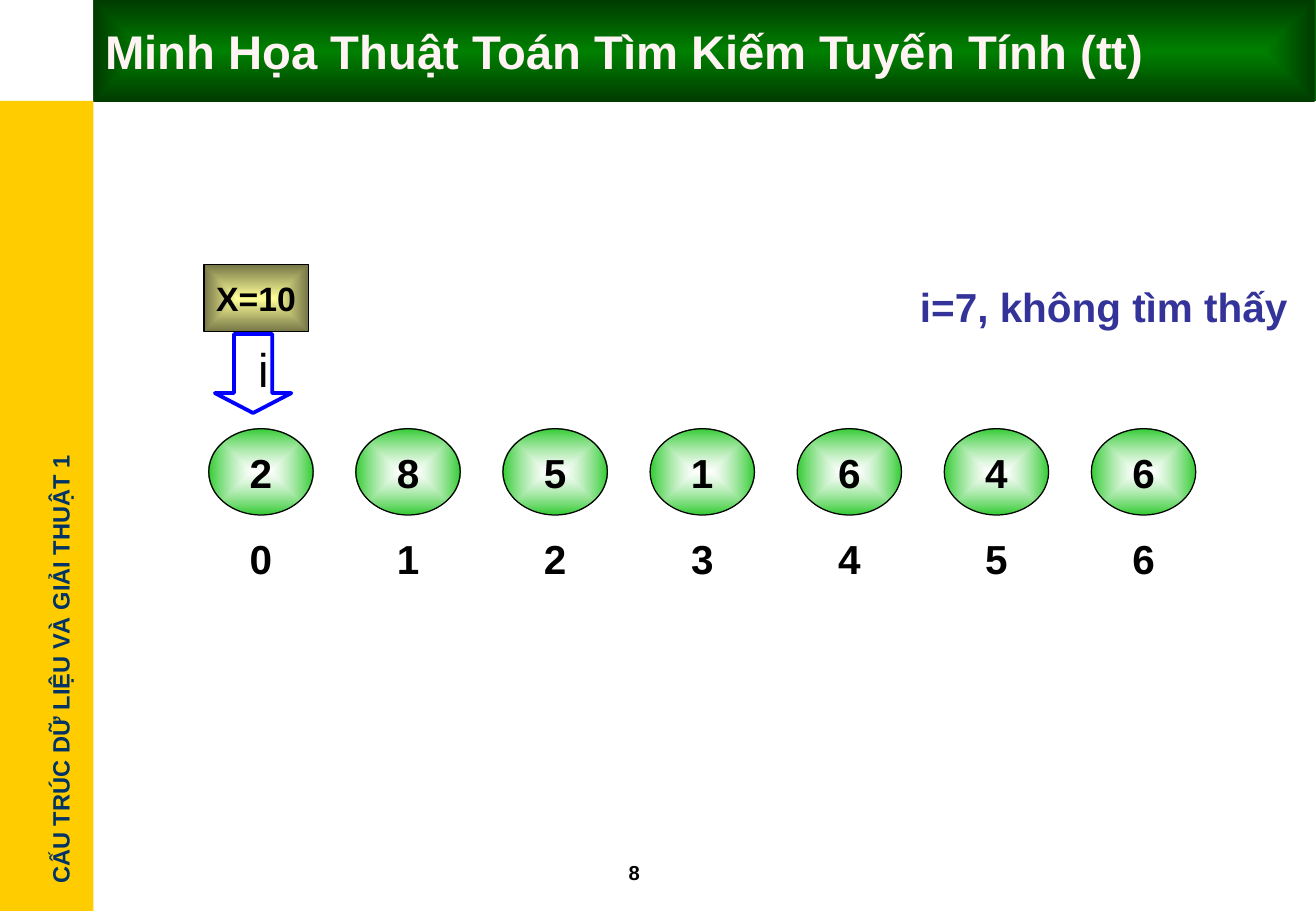
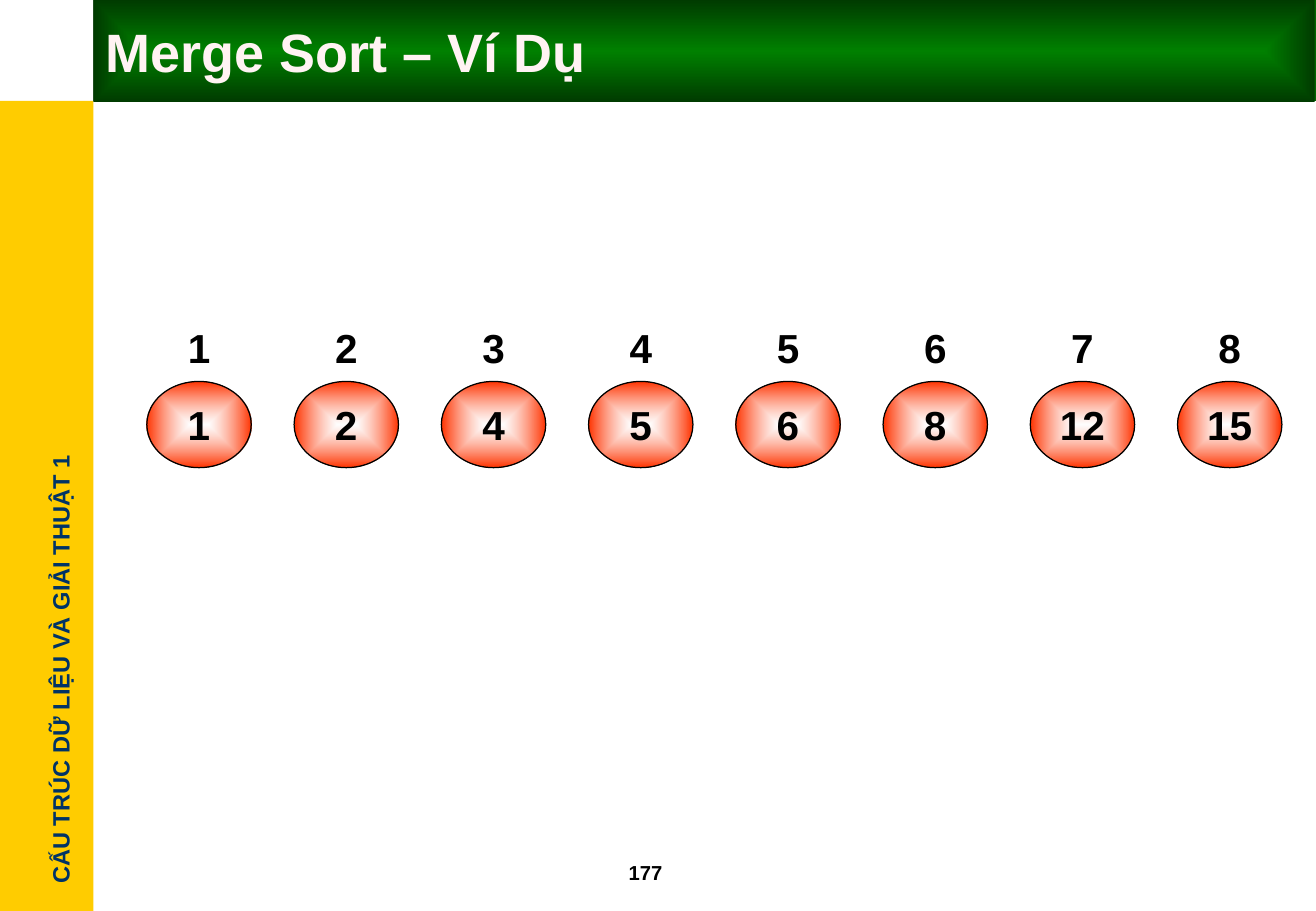
from pptx import Presentation
from pptx.dml.color import RGBColor
from pptx.enum import shapes, text
from pptx.oxml import parse_xml
from pptx.oxml.ns import nsdecls, qn
from pptx.util import Inches, Pt

FONT = "Arial"
BLACK, WHITE, GOLD, NAVY, INDIGO = "000000", "FFFFFF", "FFCC00", "003366", "333399"
ARROW_BLUE, TITLE_TEXT = "0000FF", "FFF3F3"
GREEN, RED = "33CC33", "FF3300"
NODE_WIDTH, NODE_HEIGHT = 0.86, 0.71
TITLE_ONLY = 5

LEFT, CENTER = text.PP_ALIGN.LEFT, text.PP_ALIGN.CENTER
TOP, MIDDLE = text.MSO_ANCHOR.TOP, text.MSO_ANCHOR.MIDDLE


def color(value):
    return RGBColor.from_string(value)


def fill_gradient(shape, first, last, radial=True, opacity=100):
    """Blend two colours, outward from the centre or from left to right."""
    shape.fill.gradient()
    shape.fill.gradient_angle = 0
    for stop, value in zip(shape.fill.gradient_stops, (first, last)):
        stop.color.rgb = color(value)
    gradient = shape.element.spPr.find(qn("a:gradFill"))
    if opacity < 100:
        first_color = gradient.find(".//" + qn("a:srgbClr"))
        first_color.append(parse_xml(
            f'<a:alpha {nsdecls("a")} val="{opacity * 1000}"/>'))
    if radial:
        linear = gradient.find(qn("a:lin"))
        gradient.replace(linear, parse_xml(
            f'<a:path {nsdecls("a")} path="rect"><a:fillToRect '
            'l="50000" t="50000" r="50000" b="50000"/></a:path>'))


def set_text(shape, content, size, value=BLACK, bold=True, align=LEFT,
             anchor=MIDDLE, wrap=True):
    frame = shape.text_frame
    frame.word_wrap = wrap
    frame.auto_size = text.MSO_AUTO_SIZE.NONE
    frame.vertical_anchor = anchor
    paragraph = frame.paragraphs[0]
    paragraph.alignment = align
    run = paragraph.add_run()
    run.text = content
    run.font.name = FONT
    run.font.size = Pt(size)
    run.font.bold = bold
    run.font.color.rgb = color(value)


def add_shape(slide, kind, box, line=None, line_width=0.75):
    shape = slide.shapes.add_shape(kind, *map(Inches, box))
    shape.shadow.inherit = False
    shape.fill.background()
    if line:
        shape.line.color.rgb = color(line)
        shape.line.width = Pt(line_width)
    else:
        shape.line.fill.background()
    return shape


def add_text(slide, box, content, size, **style):
    shape = slide.shapes.add_textbox(*map(Inches, box))
    set_text(shape, content, size, **style)
    return shape


def move_frame_to_layout(slide):
    """Build the side band, course name and top band, then share them."""
    side_band = add_shape(slide, shapes.MSO_SHAPE.RECTANGLE, (0, 0.83, 0.77, 6.67))
    side_band.fill.solid()
    side_band.fill.fore_color.rgb = color(GOLD)
    course = add_text(slide, (-1.37, 5.34, 3.73, 0.34),
                      "CẤU TRÚC DỮ LIỆU VÀ GIẢI THUẬT 1", 14, value=NAVY, wrap=False)
    course.rotation = 270
    top_band = add_shape(slide, shapes.MSO_SHAPE.RECTANGLE, (0.77, 0, 10.07, 0.83))
    fill_gradient(top_band, "002F00", "006600", radial=False)

    tree = slide.slide_layout.element.cSld.spTree
    for index, shape in enumerate((side_band, course, top_band)):
        shape.element.nvSpPr.cNvPr.set("id", str(100 + index))
        tree.insert(2 + index, shape.element)


def add_slide(presentation, title, title_size, number):
    slide = presentation.slides.add_slide(presentation.slide_layouts[TITLE_ONLY])
    heading = slide.shapes.title
    heading.left, heading.top, heading.width, heading.height = map(
        Inches, (0.77, 0, 10.06, 0.84))
    fill_gradient(heading, "008000", "003B00")
    set_text(heading, title, title_size, value=TITLE_TEXT)
    add_text(slide, (5.08, 7.03, 0.83, 0.3), number, 12)
    return slide


def add_array(slide, left, width, node_top, label_top, values, first_index, outer):
    """Spread the values evenly over the width, each with its index."""
    pitch = (width - NODE_WIDTH) / (len(values) - 1)
    for position, value in enumerate(values):
        x = left + position * pitch
        node = add_shape(slide, shapes.MSO_SHAPE.OVAL,
                         (x, node_top, NODE_WIDTH, NODE_HEIGHT), BLACK)
        fill_gradient(node, WHITE, outer, opacity=61)
        set_text(node, str(value), 24, align=CENTER)
        add_text(slide, (x, label_top, NODE_WIDTH, NODE_HEIGHT),
                 str(first_index + position), 24, align=CENTER)


def add_search_pointer(slide, left, top):
    key = add_shape(slide, shapes.MSO_SHAPE.RECTANGLE, (left, top, 0.86, 0.55), BLACK)
    fill_gradient(key, "FFFF99", "767647")
    set_text(key, "X=10", 20, align=CENTER, wrap=False)
    arrow = add_shape(slide, shapes.MSO_SHAPE.DOWN_ARROW,
                      (left + 0.09, top + 0.57, 0.63, 0.65), ARROW_BLUE, 2.25)
    arrow.adjustments[0] = 0.5
    arrow.adjustments[1] = 0.26
    arrow.text_frame.margin_left = Inches(0.2)
    set_text(arrow, "i", 28, bold=False, anchor=TOP)


def build_search_slide(presentation):
    slide = add_slide(presentation, "Minh Họa Thuật Toán Tìm Kiếm Tuyến Tính (tt)",
                      28, "8")
    add_array(slide, 1.72, 8.13, 3.53, 4.24, (2, 8, 5, 1, 6, 4, 6), 0, GREEN)
    add_search_pointer(slide, 1.68, 2.18)
    add_text(slide, (7.48, 2.27, 3.36, 0.5), "i=7, không tìm thấy", 24, value=INDIGO)
    return slide


def build_merge_slide(presentation):
    slide = add_slide(presentation, "Merge Sort – Ví Dụ", 32, "177")
    add_array(slide, 1.21, 9.35, 3.14, 2.5, (1, 2, 4, 5, 6, 8, 12, 15), 1, RED)


def main():
    presentation = Presentation()
    presentation.slide_width = Inches(10.84)
    presentation.slide_height = Inches(7.5)
    move_frame_to_layout(build_search_slide(presentation))
    build_merge_slide(presentation)
    presentation.save("out.pptx")


if __name__ == "__main__":
    main()
